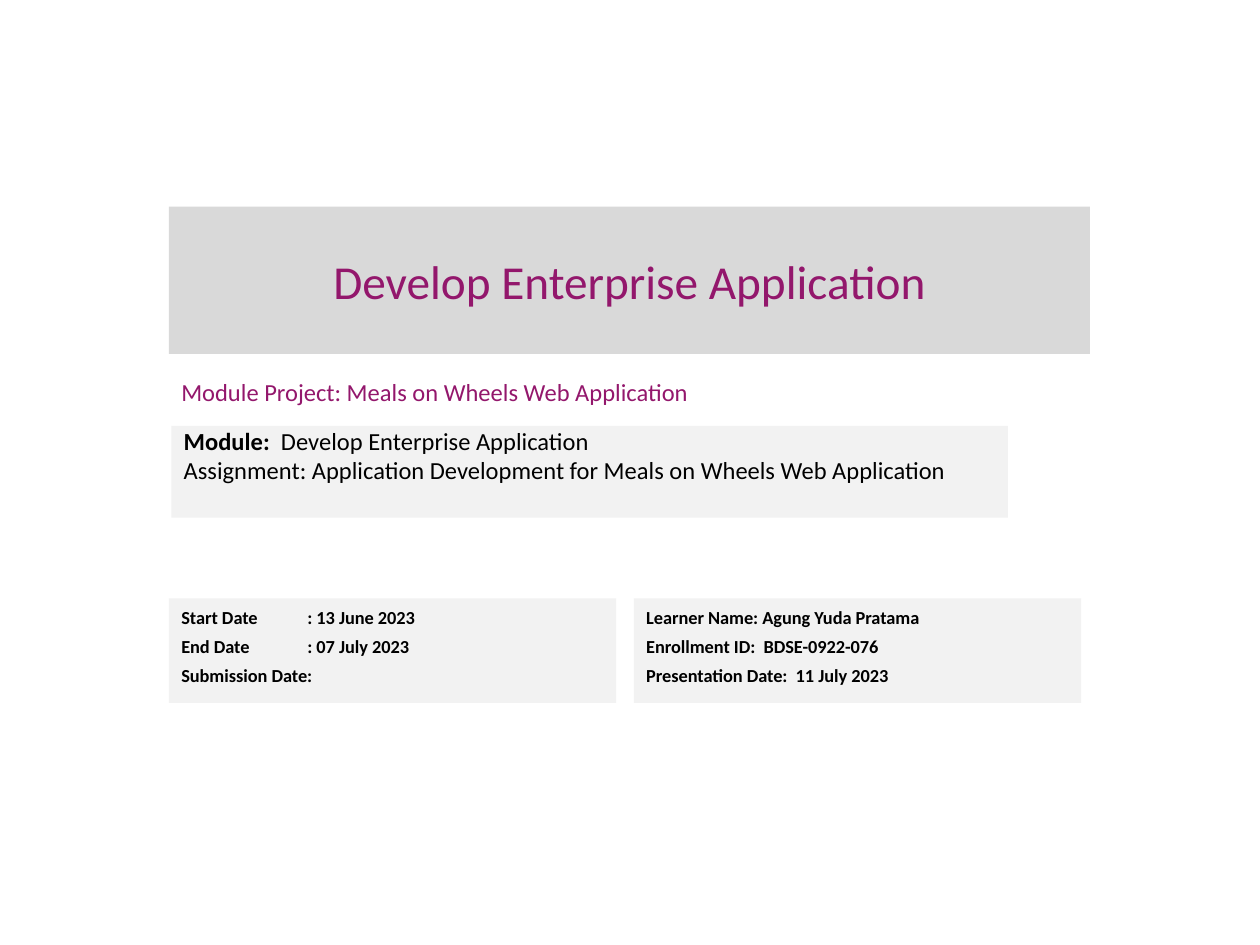
from dataclasses import dataclass

from pptx import Presentation
from pptx.dml.color import RGBColor
from pptx.enum.shapes import MSO_SHAPE
from pptx.enum.text import MSO_ANCHOR, PP_ALIGN
from pptx.oxml.ns import qn
from pptx.util import Inches, Pt
from lxml import etree

RECT = MSO_SHAPE.RECTANGLE
TOP, MIDDLE = MSO_ANCHOR.TOP, MSO_ANCHOR.MIDDLE
LEFT, CENTER = PP_ALIGN.LEFT, PP_ALIGN.CENTER

PURPLE = RGBColor(0x93, 0x17, 0x6C)
BLACK = RGBColor(0x00, 0x00, 0x00)
GREY = RGBColor(0xD9, 0xD9, 0xD9)
PALE = RGBColor(0xF2, 0xF2, 0xF2)

FONT = "Calibri"
WIDTH, HEIGHT = Inches(10), Inches(7.5)
COLS, ROWS = 100, 75
MARGIN = 13.4
CARD_W, CARD_GAP = 35.5, 1.4
CARD_ROW, CARD_H = 47.5, 8.3
TAB = Inches(1)


@dataclass(frozen=True)
class Panel:
    """A block of text lines placed in grid columns and rows."""
    col: float
    row: float
    cols: float
    rows: float
    lines: tuple[str, ...]
    size: float
    color: RGBColor = BLACK
    fill: RGBColor | None = PALE
    bold: bool = False
    label: str = ""
    anchor: MSO_ANCHOR = TOP
    align: PP_ALIGN = LEFT
    spaced: bool = True


def card(index: int, *lines: str) -> Panel:
    """Return one of the equal detail cards along the bottom row."""
    col = MARGIN + index * (CARD_W + CARD_GAP)
    return Panel(col, CARD_ROW, CARD_W, CARD_H, lines, 10.5, bold=True)


PANELS = (
    Panel(MARGIN, 16.4, 73.1, 11.7, ("Develop Enterprise Application",), 27,
          PURPLE, GREY, anchor=MIDDLE, align=CENTER, spaced=False),
    Panel(MARGIN, 28.7, 48.1, 4.7,
          ("Module Project: Meals on Wheels Web Application",), 14,
          PURPLE, None, anchor=MIDDLE, spaced=False),
    card(0, "Start Date\t: 13 June 2023", "End Date\t: 07 July 2023",
         "Submission Date:"),
    Panel(13.6, 33.8, 66.4, 7.3,
          (" Develop Enterprise Application",
           "Assignment: Application Development for Meals on Wheels Web Application"),
          14, label="Module: "),
    card(1, "Learner Name: Agung Yuda Pratama", "Enrollment ID:  BDSE-0922-076",
         "Presentation Date:  11 July 2023"),
)


def add_tab_stop(p) -> None:
    """Give a paragraph one left tab stop."""
    tabs = etree.SubElement(p._p.get_or_add_pPr(), qn("a:tabLst"))
    etree.SubElement(tabs, qn("a:tab"), pos=str(TAB), algn="l")


def draw_panel(slide, panel: Panel) -> None:
    """Draw a panel and its text lines."""
    box = (int(WIDTH * panel.col / COLS), int(HEIGHT * panel.row / ROWS),
           int(WIDTH * panel.cols / COLS), int(HEIGHT * panel.rows / ROWS))
    if panel.fill is None:
        sp = slide.shapes.add_textbox(*box)
    else:
        sp = slide.shapes.add_shape(RECT, *box)
        sp.shadow.inherit = False
        sp.fill.solid()
        sp.fill.fore_color.rgb = panel.fill
        sp.line.fill.background()
    tf = sp.text_frame
    tf.word_wrap = True
    tf.vertical_anchor = panel.anchor
    for i, line in enumerate(panel.lines):
        p = tf.add_paragraph() if i else tf.paragraphs[0]
        if "\t" in line:
            add_tab_stop(p)
        p.alignment = panel.align
        if panel.spaced:
            p.line_spacing = Pt(13.5)
            p.space_before = Pt(1.5 if i else 0)
            p.space_after = Pt(1.5)
        p.font.name = FONT
        p.font.size = Pt(panel.size)
        p.font.bold = panel.bold
        p.font.color.rgb = panel.color
        if panel.label and i == 0:
            r = p.add_run()
            r.text = panel.label
            r.font.bold = True
        p.add_run().text = line


def main() -> None:
    """Build the cover slide and save it."""
    prs = Presentation()
    prs.slide_width, prs.slide_height = WIDTH, HEIGHT
    slide = prs.slides.add_slide(prs.slide_layouts[6])
    for panel in PANELS:
        draw_panel(slide, panel)
    prs.save("out.pptx")


if __name__ == "__main__":
    main()
